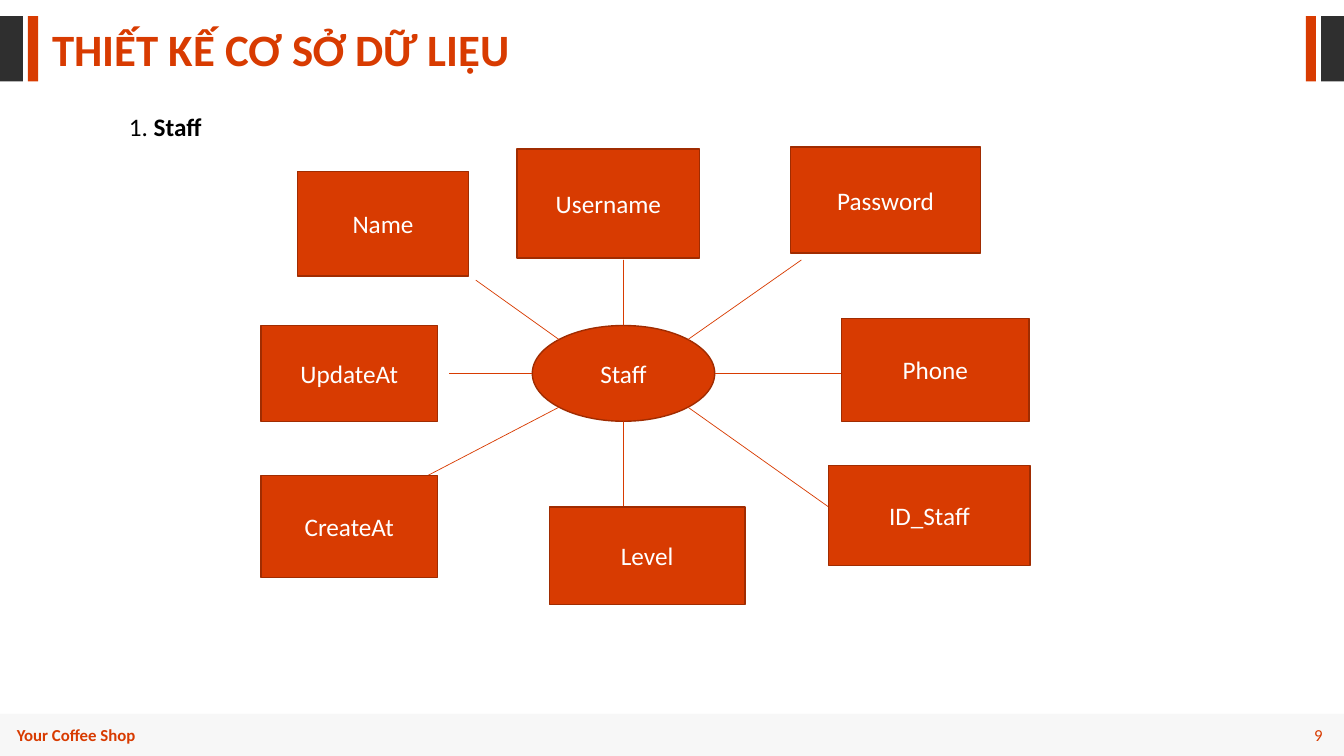
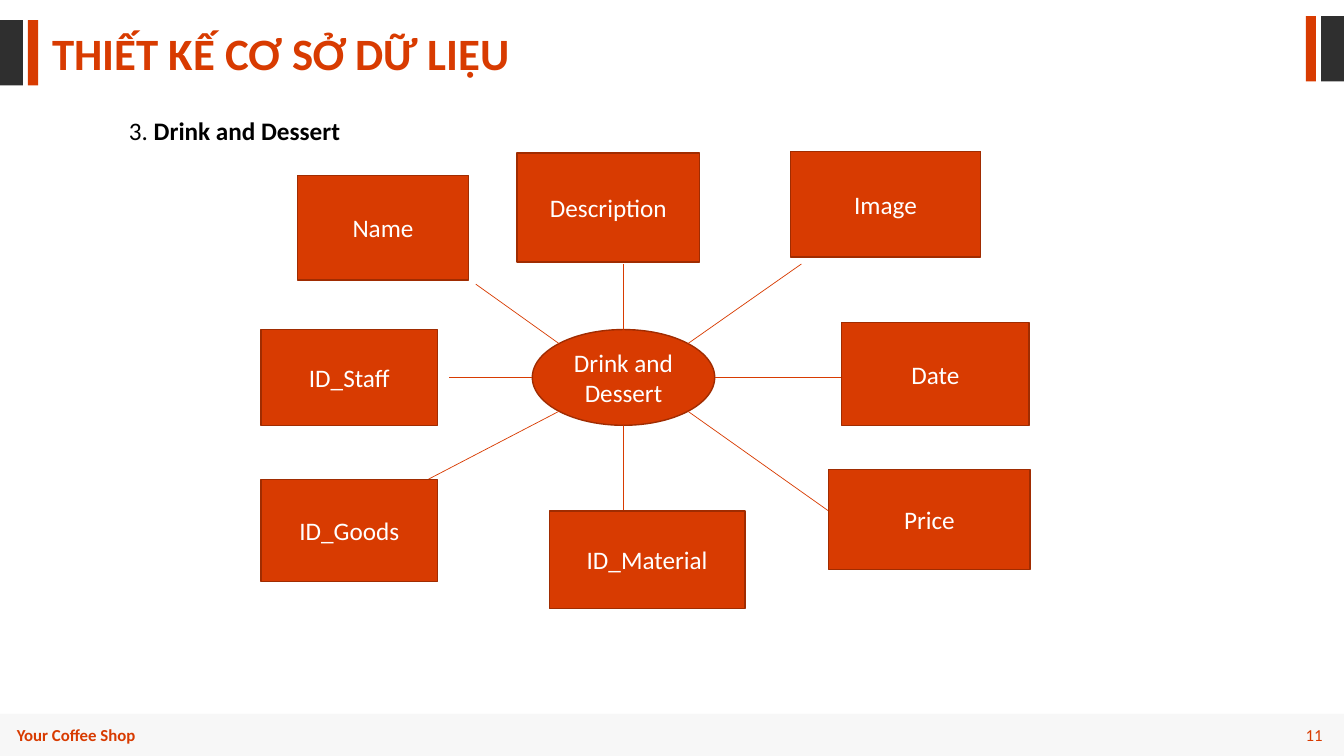
from math import cos, radians, sin

from lxml import etree
from pptx import Presentation
from pptx.dml.color import RGBColor
from pptx.enum.shapes import MSO_CONNECTOR, MSO_SHAPE
from pptx.enum.text import MSO_ANCHOR, PP_ALIGN
from pptx.oxml.ns import qn
from pptx.util import Pt

RECT, OVAL = MSO_SHAPE.RECTANGLE, MSO_SHAPE.OVAL
LINE = MSO_CONNECTOR.STRAIGHT
LEFT, CENTER, RIGHT = PP_ALIGN.LEFT, PP_ALIGN.CENTER, PP_ALIGN.RIGHT
TOP, MIDDLE = MSO_ANCHOR.TOP, MSO_ANCHOR.MIDDLE

ORANGE = RGBColor(0xD8, 0x3B, 0x01)
RUST = RGBColor(0xA0, 0x2C, 0x01)
DARK = RGBColor(0x2F, 0x2F, 0x2F)
GREY = RGBColor(0xE6, 0xE6, 0xE6)
WHITE = RGBColor(0xFF, 0xFF, 0xFF)
BLACK = RGBColor(0, 0, 0)

FONT = "Calibri"
WIDE, HIGH = 960, 540
TITLE = "THIẾT KẾ CƠ SỞ DỮ LIỆU"

# Diagram parts, relative to its top left corner: x, y, width, height
HUB = (193.7, 127.4, 130.3, 68.4)
# Clockwise from the upper left: box, then the outer end of its spoke
NODES = [
    ((25.9, 17.3, 122.4, 74.9), (153.4, 95)),
    ((182.9, 1.4, 130.3, 77.8), (258.8, 80.6)),
    ((378, 0, 136.1, 75.6), (385.9, 80.6)),
    ((414.7, 122.4, 133.9, 73.4), (416.9, 161.6)),
    ((405.4, 227.5, 144, 71.3), (405.4, 257)),
    ((205.9, 257, 139.7, 69.8), (258.8, 257)),
    ((0, 234.7, 126, 72.7), (118.8, 234.7)),
    ((0, 127.4, 126, 68.4), (133.9, 161.6)),
]

# Page number, drop of the content, heading number, entity, attributes
PAGES = [
    (9, 0, "1. ", "Staff",
     ["Name", "Username", "Password", "Phone",
      "ID_Staff", "Level", "CreateAt", "UpdateAt"]),
    (11, 2.9, "3. ", "Drink and Dessert",
     ["Name", "Description", "Image", "Date",
      "Price", "ID_Material", "ID_Goods", "ID_Staff"]),
]


def style(par, size, color, bold=None, align=LEFT):
    par.alignment = align
    font = par.font
    font.name, font.size, font.bold = FONT, Pt(size), bold
    font.color.rgb = color


def add_text(slide, box, text, size, color, bold=None, align=LEFT, anchor=TOP):
    frame = slide.shapes.add_textbox(*map(Pt, box)).text_frame
    frame.word_wrap = True
    frame.vertical_anchor = anchor
    par = frame.paragraphs[0]
    par.text = text
    style(par, size, color, bold, align)
    return par


def add_block(slide, kind, box, fill):
    shape = slide.shapes.add_shape(kind, *map(Pt, box))
    shape.shadow.inherit = False
    shape.fill.solid()
    shape.fill.fore_color.rgb = fill
    shape.line.fill.background()
    return shape


def add_node(slide, kind, box, text):
    shape = add_block(slide, kind, box, ORANGE)
    shape.line.color.rgb = RUST
    shape.line.width = Pt(1)
    frame = shape.text_frame
    frame.word_wrap = True
    frame.vertical_anchor = MIDDLE
    frame.text = text
    style(frame.paragraphs[0], 18, WHITE, align=CENTER)


def add_spoke(slide, start, end):
    line = slide.shapes.add_connector(LINE, *map(Pt, (*start, *end)))
    line.line.color.rgb = ORANGE
    line.line.width = Pt(0.5)
    etree.SubElement(line._element.spPr, qn("a:effectLst"))


def add_marks(slide, top, flip=False):
    """Dark and orange bars at the left edge, or mirrored at the right."""
    for x, w, fill in ((0, 16.4, DARK), (20, 7.2, ORANGE)):
        left = WIDE - x - w if flip else x
        add_block(slide, RECT, (left, top, w, 46.6), fill)


def add_footer(slide, top, page):
    band = add_block(slide, RECT, (0, top, WIDE, HIGH - top), GREY)
    tint = band.fill._xPr.find(".//" + qn("a:srgbClr"))
    etree.SubElement(tint, qn("a:alpha")).set("val", "30000")
    y = top + 4.3
    add_text(slide, (889.2, y, 62.6, 21.8), str(page), 12, ORANGE,
             align=RIGHT, anchor=MIDDLE)
    add_text(slide, (5, y, 132.5, 21.8), "Your Coffee Shop", 12, ORANGE, True)


def add_head(slide, top, number, name):
    par = add_text(slide, (30.2, top + 7.9, 480, 38.9), TITLE, 32, ORANGE, True)
    par.line_spacing = 0.8
    add_marks(slide, top)
    par = add_text(slide, (85, top + 64.1, 272, 29), number, 18, BLACK)
    run = par.add_run()
    run.text = name
    run.font.bold = True


def add_star(slide, left, top, name, labels):
    """An entity in the middle with its attributes around it."""
    def place(box):
        x, y, *size = box
        return (left + x, top + y, *size)

    x, y, w, h = place(HUB)
    add_node(slide, OVAL, (x, y, w, h), name)
    for i, ((box, end), label) in enumerate(zip(NODES, labels)):
        turn = radians(45 * i - 135)
        start = (x + w / 2 * (1 + cos(turn)), y + h / 2 * (1 + sin(turn)))
        add_spoke(slide, start, place(end))
        add_node(slide, RECT, place(box), label)


def add_page(deck, page, drop, number, name, labels):
    slide = deck.slides.add_slide(deck.slide_layouts[6])
    add_marks(slide, 11.5, flip=True)
    add_footer(slide, 510, page)
    add_head(slide, 11.5 + drop, number, name)
    add_star(slide, 186.5, 105.1 + drop, name, labels)


def main():
    deck = Presentation()
    deck.slide_width, deck.slide_height = Pt(WIDE), Pt(HIGH)
    for page in PAGES:
        add_page(deck, *page)
    deck.save("out.pptx")


if __name__ == "__main__":
    main()
